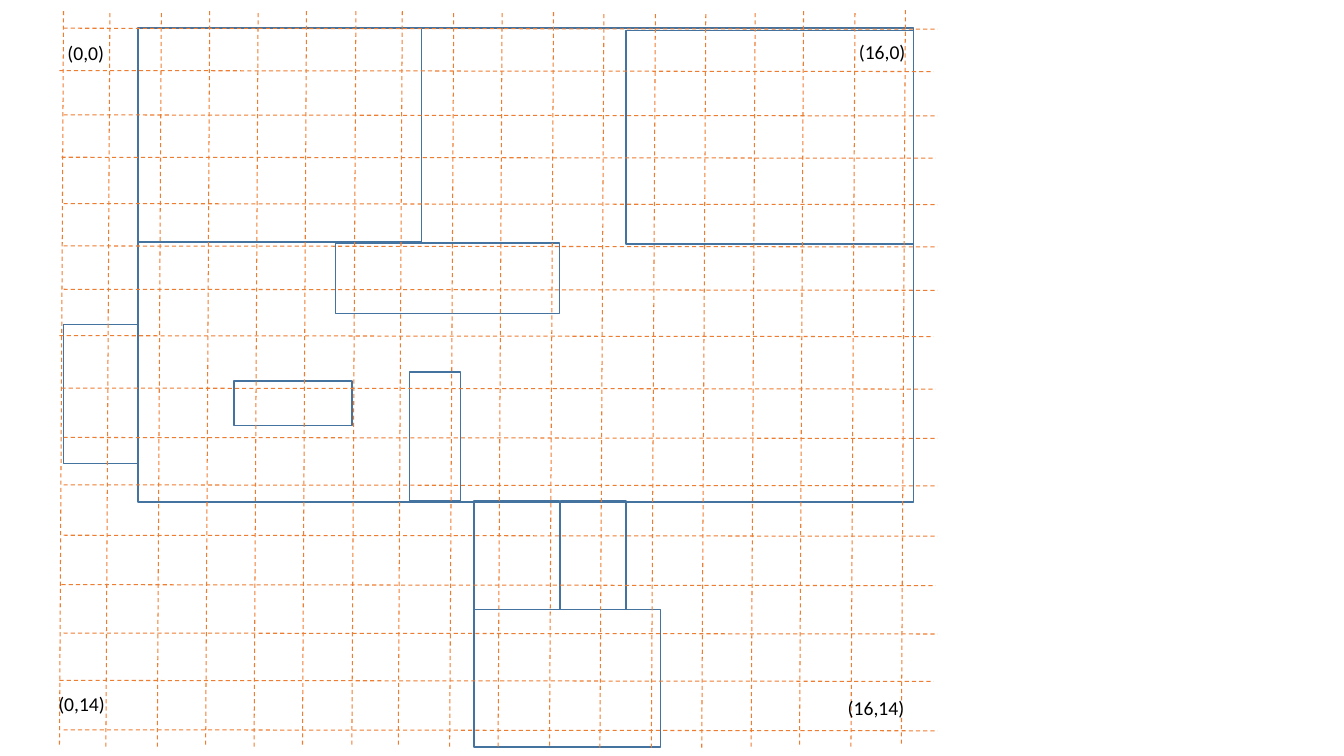
"""Draw a floor plan of outlined rooms under a dashed coordinate grid."""
from pptx import Presentation
from pptx import util as u
from pptx.dml.color import RGBColor
from pptx.enum import dml, shapes, text
from pptx.oxml.ns import qn
from lxml import etree

WALL = RGBColor(0x43, 0x73, 0x9E)
GRID = RGBColor(0xED, 0x7D, 0x31)
INK = RGBColor(0x00, 0x00, 0x00)

ROOMS = [
    (1.37, 0.28, 7.69, 4.7),
    (4.7, 6.05, 1.85, 1.36),
    (4.7, 4.97, 0.85, 1.08),
    (5.56, 4.97, 0.65, 1.08),
    (6.21, 0.3, 2.85, 2.12),
    (1.37, 0.28, 2.81, 2.12),
    (3.33, 2.41, 2.22, 0.7),
    (4.06, 3.69, 0.51, 1.28),
    (0.63, 3.22, 0.74, 1.38),
    (2.32, 3.78, 1.17, 0.44),
]
ROW_STARTS = [
    (0.63, 0.28), (0.59, 0.7), (0.63, 1.14), (0.61, 1.56),
    (0.63, 2.02), (0.63, 2.44), (0.63, 2.87), (0.59, 3.33),
    (0.61, 3.85), (0.63, 4.34), (0.63, 4.81), (0.63, 5.31),
    (0.61, 5.8), (0.63, 6.28), (0.59, 6.75), (0.63, 7.24),
]
COLUMN_STARTS = [
    (0.63, 0.11), (1.09, 0.13), (1.6, 0.13), (2.08, 0.11),
    (2.56, 0.13), (3.04, 0.11), (3.53, 0.11), (3.99, 0.11),
    (4.5, 0.13), (4.98, 0.13), (5.49, 0.12), (5.99, 0.14),
    (6.5, 0.14), (7, 0.14), (7.49, 0.13), (7.97, 0.11),
    (8.48, 0.13), (8.98, 0.1),
]
ROW_SPAN = (8.67, 0.01)
COLUMN_SPAN = (-0.04, 7.3)
CORNERS = [
    ("(0,0)", 0.57, 0.36, 0.59),
    ("(16,0)", 8.42, 0.35, 0.76),
    ("(0,14)", 0.48, 6.82, 0.74),
    ("(16,14)", 8.31, 6.86, 0.84),
]


class FloorPlan:
    """Hold the line and text styles and the drawing group of the page."""

    wall_style = {"width": u.Pt(1)}
    grid_style = {"width": u.Pt(0.75), "dash_style": dml.MSO_LINE.DASH}
    font_style = {"name": "Calibri", "size": u.Pt(14)}
    frame_style = {"word_wrap": False, "auto_size": text.MSO_AUTO_SIZE.SHAPE_TO_FIT_TEXT}

    def __init__(self, page):
        """Start one group on the page."""
        self.drawing = page.shapes.add_group_shape().shapes

    def apply(self, target, style):
        """Set each attribute named in the style."""
        for name, value in style.items():
            setattr(target, name, value)

    def room(self, *bounds):
        """Draw an unfilled room outline."""
        box = self.drawing.add_shape(shapes.MSO_SHAPE.RECTANGLE, *map(u.Inches, bounds))
        box.shadow.inherit = False
        box.fill.background()
        box.line.color.rgb = WALL
        self.apply(box.line, self.wall_style)

    def grid_line(self, start, span):
        """Draw a dashed line from start across span."""
        (left, top), (run, drop) = start, span
        ends = map(u.Inches, (left, top, left + run, top + drop))
        line = self.drawing.add_connector(shapes.MSO_CONNECTOR.STRAIGHT, *ends)
        etree.SubElement(line.line._get_or_add_ln().getparent(), qn("a:effectLst"))
        line.line.color.rgb = GRID
        self.apply(line.line, self.grid_style)

    def label(self, words, left, top, width):
        """Write the coordinates of a corner."""
        box = self.drawing.add_textbox(*map(u.Inches, (left, top, width, 0.34)))
        self.apply(box.text_frame, self.frame_style)
        span = box.text_frame.paragraphs[0].add_run()
        span.text = words
        span.font.color.rgb = INK
        self.apply(span.font, self.font_style)


def main():
    """Build the deck and save it."""
    deck = Presentation()
    deck.slide_width, deck.slide_height = u.Inches(13.33), u.Inches(7.5)
    plan = FloorPlan(deck.slides.add_slide(deck.slide_layouts[6]))
    for bounds in ROOMS:
        plan.room(*bounds)
    for starts, span in ((ROW_STARTS, ROW_SPAN), (COLUMN_STARTS, COLUMN_SPAN)):
        for start in starts:
            plan.grid_line(start, span)
    for corner in CORNERS:
        plan.label(*corner)
    deck.save("out.pptx")


if __name__ == "__main__":
    main()
